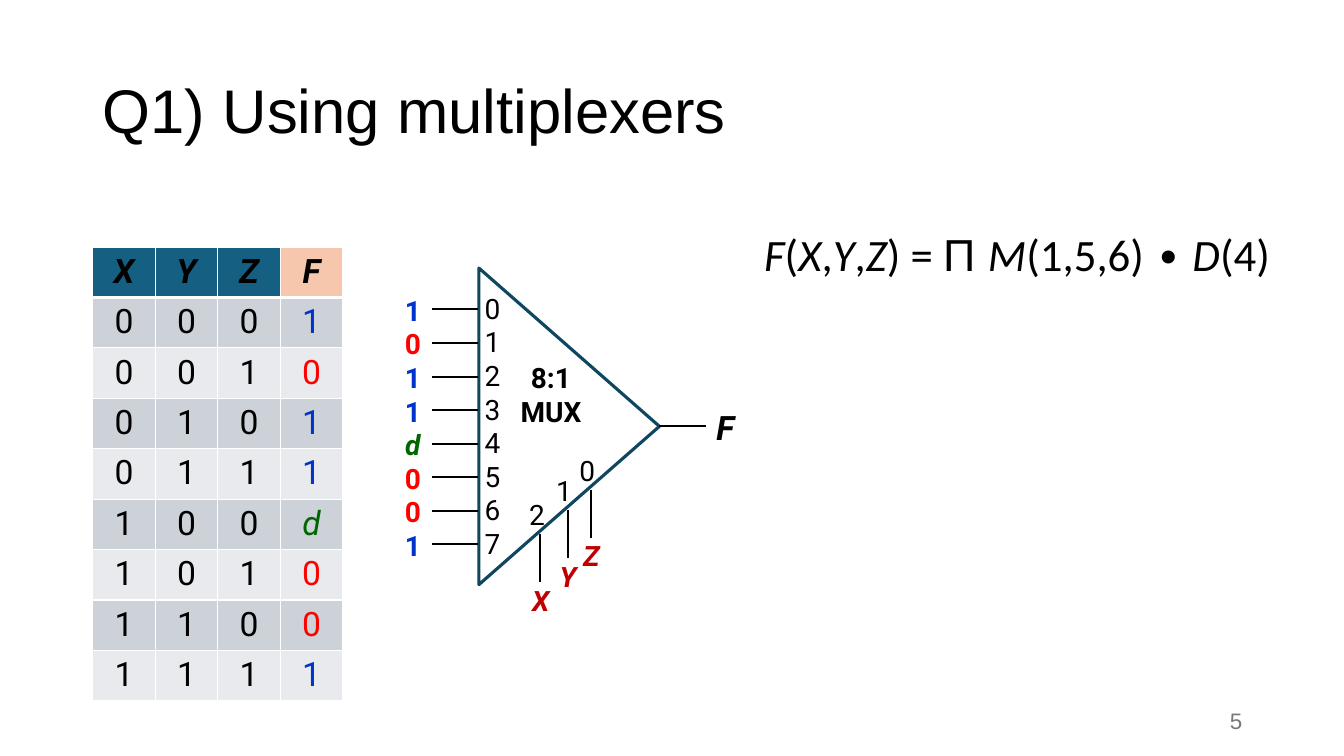
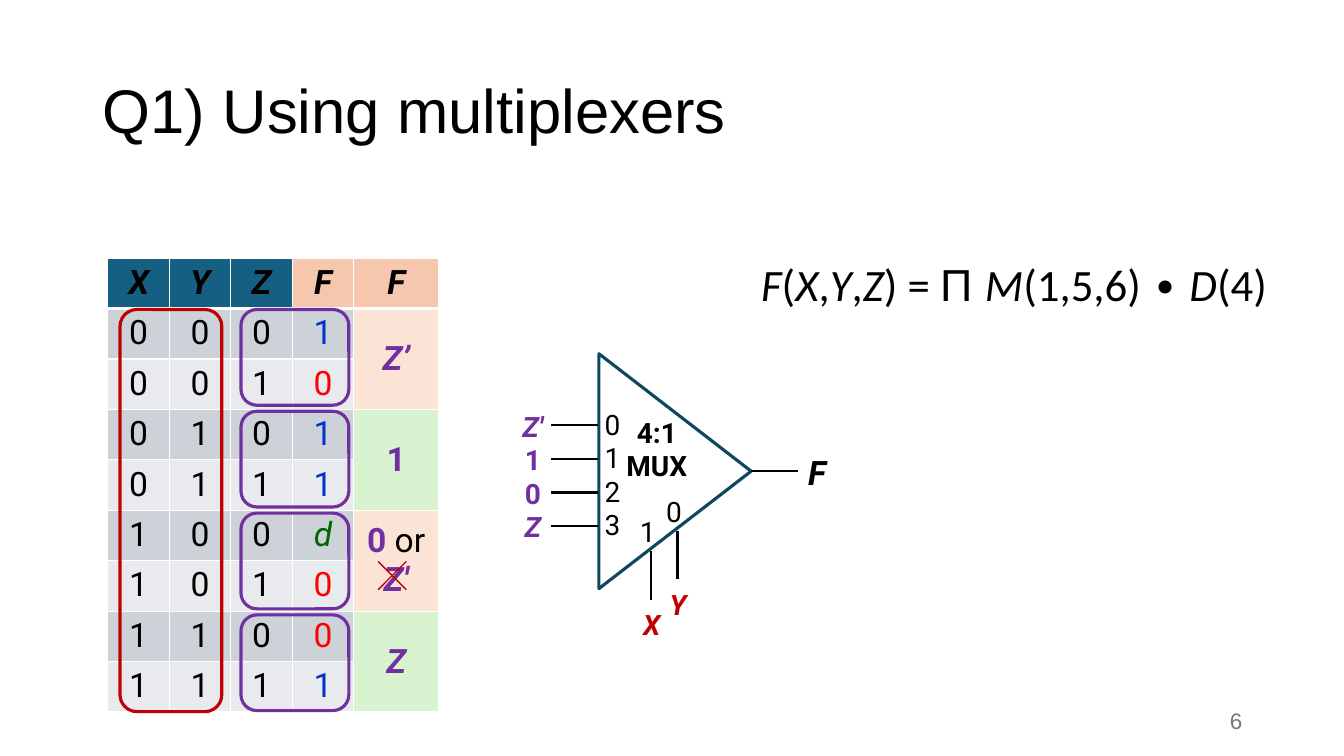
import dataclasses
import itertools

import lxml.etree
import pptx
import pptx.dml.color
import pptx.enum.shapes
import pptx.enum.text
import pptx.oxml.ns
import pptx.util

Inches = pptx.util.Inches
Pt = pptx.util.Pt
qn = pptx.oxml.ns.qn
SHAPES = pptx.enum.shapes.MSO_SHAPE
ALIGN = pptx.enum.text.PP_ALIGN
ANCHOR = pptx.enum.text.MSO_ANCHOR


@dataclasses.dataclass(frozen=True)
class Theme:
    black: str = "000000"
    grey: str = "797979"
    white: str = "FFFFFF"
    teal: str = "156082"
    outline: str = "104760"
    peach: str = "F6C6AD"
    pale_peach: str = "FBE3D6"
    pale_green: str = "D9F2D0"
    bands: tuple = ("CCD2D8", "E8EAED")
    purple: str = "7030A0"
    dark_red: str = "C00000"
    one: str = "0033CC"
    zero: str = "FF0000"
    dont_care: str = "006600"
    title: int = 44
    formula: int = 32
    cell: int = 24
    pin: int = 20
    number: int = 16
    heading_font: str = "Arial"
    formula_font: str = "Calibri"
    diagram_font: str = "Roboto"


THEME = Theme()
VALUE_COLORS = {"0": THEME.zero, "1": THEME.one, "d": THEME.dont_care}
F_VALUES = "1011d001"  # F for XYZ = 000 to 111
LINE_PITCH = 0.333  # height of one line of pin text


# ---- Shared helpers ----
def rgb(code):
    return pptx.dml.color.RGBColor.from_string(code)


def style(size, color=THEME.black, name=THEME.diagram_font, **formats):
    return {"size": Pt(size), "color": color, "name": name, **formats}


CELL = style(THEME.cell)
PIN = style(THEME.pin)


def write(frame, lines, base, align=ALIGN.CENTER):
    """Each line is a list of (text, formats) runs; formats override base."""
    for index, line in enumerate(lines):
        paragraph = frame.paragraphs[0] if index == 0 else frame.add_paragraph()
        paragraph.alignment = align
        for text, formats in line:
            run = paragraph.add_run()
            run.text = text
            for key, value in {**base, **formats}.items():
                if key == "color":
                    run.font.color.rgb = rgb(value)
                else:
                    setattr(run.font, key, value)


def add_text(slide, box, lines, base, align=ALIGN.CENTER):
    frame = slide.shapes.add_textbox(*map(Inches, box)).text_frame
    frame.word_wrap = True
    write(frame, lines, base, align)
    return frame


def add_symbol(slide, center, top, text, base):
    add_text(slide, (center - 0.28, top, 0.57, 0.44), [[(text, {})]], base)


def add_wire(slide, x1, y1, x2, y2, color=THEME.black, width=1.5):
    wire = slide.shapes.add_connector(
        pptx.enum.shapes.MSO_CONNECTOR.STRAIGHT, *map(Inches, (x1, y1, x2, y2)))
    wire.line.color.rgb = rgb(color)
    wire.line.width = Pt(width)
    lxml.etree.SubElement(wire._element.spPr, qn("a:effectLst"))


def add_outline(slide, preset, box, color):
    outline = slide.shapes.add_shape(preset, *map(Inches, box))
    outline.shadow.inherit = False
    outline.fill.background()
    outline.line.color.rgb = rgb(color)
    outline.line.width = Pt(2.25)
    return outline


def value_formats(symbol):
    return {"color": VALUE_COLORS[symbol], "italic": symbol == "d"}


def purple_formats(symbol):
    return {"color": THEME.purple, "bold": True, "italic": symbol.startswith("Z")}


# ---- Slide frame: title and page number ----
def add_question_slide(prs, title, number):
    slide = prs.slides.add_slide(prs.slide_layouts[5])
    heading = slide.shapes.title
    place = {"left": 0.92, "top": 0.4, "width": 11.5, "height": 1.45}
    for key, value in place.items():
        setattr(heading, key, Inches(value))
    heading.text_frame.vertical_anchor = ANCHOR.MIDDLE
    write(heading.text_frame, [[(title, {})]],
          style(THEME.title, name=THEME.heading_font), ALIGN.LEFT)
    heading.text_frame.paragraphs[0].line_spacing = 0.9
    page = add_text(slide, (9.42, 6.95, 3, 0.4), [[(str(number), {})]],
                    style(THEME.number, THEME.grey, THEME.heading_font), ALIGN.RIGHT)
    page.vertical_anchor = ANCHOR.MIDDLE
    return slide


# ---- Formula ----
def add_formula(slide, left, top):
    parts = ["F", "(", "X", ",", "Y", ",", "Z", ") = ", "Π ", "M", "(1,5,6) ∙ ", "D", "(4)"]
    runs = [(part, {"name": THEME.heading_font} if part == "Π "
             else {"italic": part.isalpha()}) for part in parts]
    add_text(slide, (left, top, 6.35, 0.64), [runs],
             style(THEME.formula, name=THEME.formula_font), ALIGN.LEFT)


# ---- Truth table ----
def format_cell(cell, fill, bottom=1):
    cell.fill.solid()
    cell.fill.fore_color.rgb = rgb(fill)
    properties = cell._tc.get_or_add_tcPr()
    for index, (side, width) in enumerate(
            {"lnL": 1, "lnR": 1, "lnT": 1, "lnB": bottom}.items()):
        border = lxml.etree.Element(qn("a:" + side), w=str(Pt(width)))
        solid = lxml.etree.SubElement(border, qn("a:solidFill"))
        lxml.etree.SubElement(solid, qn("a:srgbClr"), val=THEME.white)
        properties.insert(index, border)


def add_truth_table(slide, left, top, widths, reduced=()):
    """reduced holds one list of lines per pair of rows, for a merged last column."""
    table = slide.shapes.add_table(
        9, len(widths), *map(Inches, (left, top, sum(widths), 4.5))).table
    table.first_row = table.horz_banding = False
    for column, width in zip(table.columns, widths):
        column.width = Inches(width)

    # Header row
    for index, name in enumerate("XYZFF"[:len(widths)]):
        cell = table.cell(0, index)
        format_cell(cell, THEME.peach if name == "F" else THEME.teal, bottom=3)
        write(cell.text_frame, [[(name, {"bold": True, "italic": True})]], CELL)

    # One row for each combination of inputs
    for row, bits in enumerate(itertools.product("01", repeat=3)):
        for index, symbol in enumerate((*bits, F_VALUES[row])):
            cell = table.cell(row + 1, index)
            format_cell(cell, THEME.bands[row % 2])
            formats = value_formats(symbol) if index == 3 else {}
            write(cell.text_frame, [[(symbol, formats)]], CELL)

    # F in terms of Z, merged over pairs of rows
    for pair, lines in enumerate(reduced):
        first, second = (table.cell(2 * pair + offset, 4) for offset in (1, 2))
        first.merge(second)
        for cell in (first, second):
            format_cell(cell, (THEME.pale_peach, THEME.pale_green)[pair % 2])
        first.vertical_anchor = ANCHOR.MIDDLE
        first.margin_left = first.margin_right = Inches(0.02)
        write(first.text_frame, lines, CELL)


def add_row_groups(slide, left, top):
    """Rings around the select inputs and each Z, F pair, then the crossed option."""
    ring = SHAPES.ROUNDED_RECTANGLE
    add_outline(slide, ring, (left + 0.12, top + 0.51, 1.01, 3.99), THEME.dark_red)
    for pair in range(4):
        add_outline(slide, ring, (left + 1.32, top + 0.51 + 1.01 * pair, 1.07, 0.95),
                    THEME.purple)
    x, y, side = left + 2.68, top + 3.01, 0.28
    for start, end in ((y, y + side), (y + side, y)):
        add_wire(slide, x, start, x + side, end, THEME.dark_red, 1)


# ---- Multiplexer ----
def add_mux(slide, box, name, name_at, inputs, pins_top, selects, select_gap):
    """inputs: (symbol, formats) from pin 0 down; selects: {name: x in box}, high bit first."""
    left, top, width, height = box
    middle, right = top + height / 2, left + width

    # Body: an upright triangle turned to point right
    body = add_outline(slide, SHAPES.FLOWCHART_EXTRACT,
                       (left + (width - height) / 2, middle - width / 2, height, width),
                       THEME.outline)
    body.rotation = 90
    add_text(slide, (left + name_at[0], top + name_at[1], 1.17, 0.77),
             [[(line, {"bold": True})] for line in name], PIN)

    # Inputs
    count = len(inputs)
    column_height = LINE_PITCH * count + 0.1
    add_text(slide, (left - 0.15, top + pins_top, 0.57, column_height),
             [[(str(pin), {})] for pin in range(count)], PIN)
    add_text(slide, (left - 1.16, top + pins_top + 0.02, 1.01, column_height),
             [[entry] for entry in inputs], {**PIN, "bold": True})
    for pin in range(count):
        y = top + pins_top + 0.23 + LINE_PITCH * pin
        add_wire(slide, left - 0.47, y, left - 0.01, y)

    # Select lines hang from the lower edge
    for order, (select, x) in enumerate(selects.items()):
        start = top + height * (1 - x / width / 2) + 0.03
        add_wire(slide, left + x, start, left + x, start + 0.48)
        add_symbol(slide, left + x - 0.04, start - 0.41, str(len(selects) - 1 - order), PIN)
        add_symbol(slide, left + x, start + 0.48 + select_gap, select,
                   {**PIN, "color": THEME.dark_red, "bold": True, "italic": True})

    # Output
    add_wire(slide, right, middle, right + 0.46, middle)
    add_symbol(slide, right + 0.65, middle - 0.24, "F", {**CELL, "bold": True, "italic": True})


# ---- Slides ----
def build_8_to_1(prs, title):
    slide = add_question_slide(prs, title, 5)
    add_formula(slide, 7.48, 2.2)
    add_truth_table(slide, 0.92, 2.45, [0.62] * 4)
    add_mux(slide, (4.75, 2.66, 1.79, 3.14), ("8:1", "MUX"), (0.13, 0.87),
            [(symbol, value_formats(symbol)) for symbol in F_VALUES], 0.18,
            {"X": 0.61, "Y": 0.88, "Z": 1.11}, -0.04)


def build_4_to_1(prs, title):
    slide = add_question_slide(prs, title, 6)
    add_formula(slide, 7.45, 2.5)
    reduced = [[[(symbol, purple_formats(symbol))] for symbol in group]
               for group in (("Z’",), ("1",), ("0 ", "Z'"), ("Z",))]
    reduced[2][0].append(("or", {}))
    table_at = (1.07, 2.56)
    add_truth_table(slide, *table_at, [0.61] * 4 + [0.84], reduced)
    add_row_groups(slide, *table_at)
    add_mux(slide, (5.94, 3.51, 1.51, 2.33), ("4:1", "MUX"), (-0.01, 0.56),
            [(symbol, purple_formats(symbol)) for symbol in ("Z'", "1", "0", "Z")], 0.48,
            {"X": 0.52, "Y": 0.78}, 0.03)


def main():
    prs = pptx.Presentation()
    prs.slide_width, prs.slide_height = Inches(13.33), Inches(7.5)
    for build in (build_8_to_1, build_4_to_1):
        build(prs, "Q1) Using multiplexers")
    prs.save("out.pptx")


if __name__ == "__main__":
    main()
